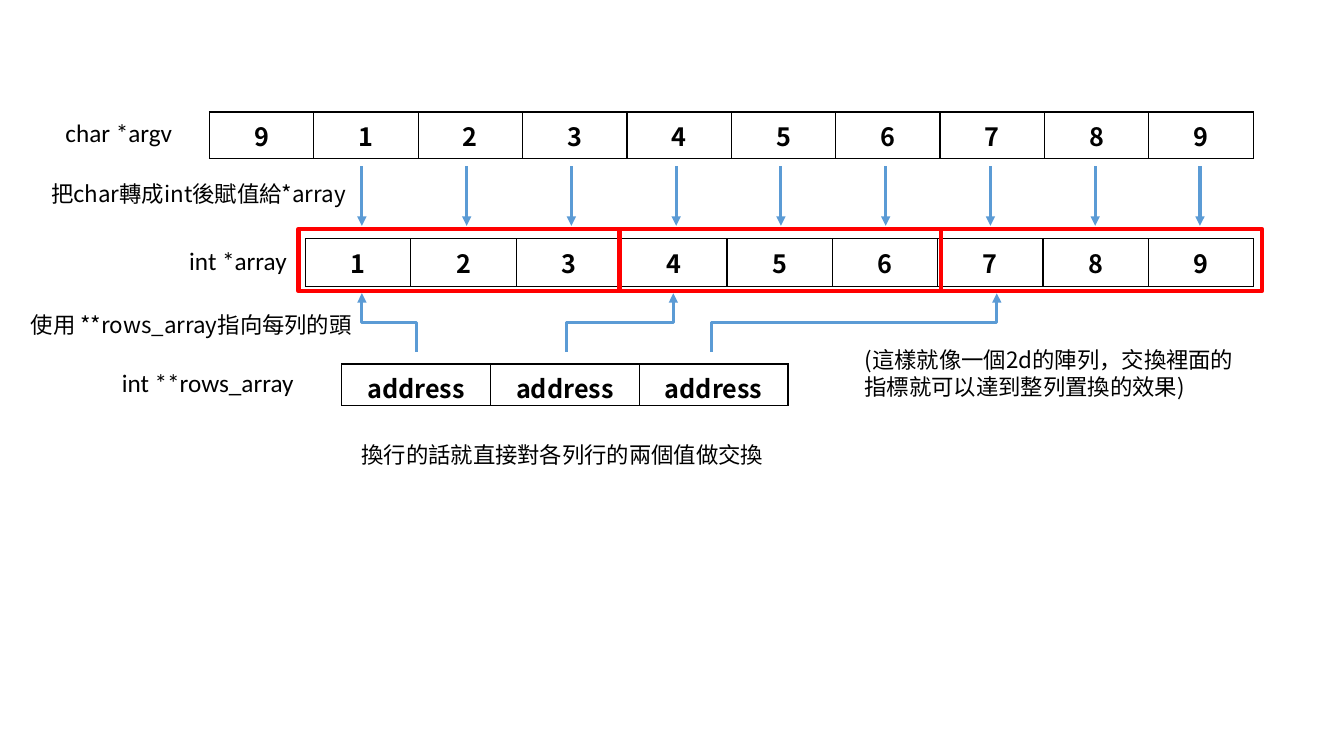
from dataclasses import dataclass
from typing import NamedTuple

from lxml.etree import SubElement
from pptx import Presentation
from pptx.dml.color import RGBColor
from pptx.enum.shapes import MSO_CONNECTOR, MSO_SHAPE
from pptx.enum.text import PP_ALIGN
from pptx.oxml import parse_xml
from pptx.oxml.ns import nsdecls, qn
from pptx.util import Cm, Pt


@dataclass(frozen=True)
class Theme:
    """Colours, fonts and sizes of the slide."""
    ink: str = "000000"
    arrow: str = "5B9BD5"
    frame: str = "FF0000"
    code_font: str = "Calibri"
    note_font: str = "Noto Sans CJK SC"
    code_size: int = 18
    note_size: int = 16
    border_width: float = 1
    arrow_width: float = 2.25
    frame_width: float = 3


class Box(NamedTuple):
    """A region in centimetres."""
    left: float
    top: float
    width: float
    height: float

    def lengths(self):
        """Return the four values as slide lengths."""
        return [Cm(value) for value in self]


THEME = Theme()


def format_runs(paragraph, font_name, size, bold=False):
    """Give every run its font, for Latin and East Asian text alike."""
    for run in paragraph.runs:
        run.font.name = font_name
        run.font.size = Pt(size)
        run.font.bold = bold
        run.font.color.rgb = RGBColor.from_string(THEME.ink)
        east_asian = SubElement(run.font._element, qn("a:ea"))
        east_asian.set("typeface", font_name)


def add_text(slide, box, text, font_name, size, wrap):
    """Add a text box with one paragraph."""
    text_frame = slide.shapes.add_textbox(*box.lengths()).text_frame
    text_frame.word_wrap = wrap
    text_frame.text = text
    format_runs(text_frame.paragraphs[0], font_name, size)


def add_code_label(slide, box, text):
    """Name an array beside its table."""
    add_text(slide, box, text, THEME.code_font, THEME.code_size, False)


def add_note(slide, box, text):
    """Explain a step."""
    add_text(slide, box, text, THEME.note_font, THEME.note_size, True)


def add_cell_borders(cell):
    """Outline all four sides of a cell."""
    properties = cell._tc.get_or_add_tcPr()
    for index, side in enumerate("LRTB"):
        properties.insert(index, parse_xml(
            f'<a:ln{side} {nsdecls("a")} w="{Pt(THEME.border_width)}">'
            f'<a:solidFill><a:srgbClr val="{THEME.ink}"/></a:solidFill>'
            f'</a:ln{side}>'))


def add_array(slide, box, values):
    """Draw an array as a one-row table of equal cells."""
    table = slide.shapes.add_table(1, len(values), *box.lengths()).table
    table.first_row = table.horz_banding = False
    for column, cell, value in zip(table.columns, table.rows[0].cells, values):
        column.width = Cm(box.width / len(values))
        cell.margin_top, cell.margin_bottom = Cm(0.13), 0
        cell.fill.background()
        add_cell_borders(cell)
        cell.text_frame.text = value
        paragraph = cell.text_frame.paragraphs[0]
        paragraph.alignment = PP_ALIGN.CENTER
        format_runs(paragraph, THEME.note_font, THEME.code_size, True)


def style_arrow(connector):
    """Colour a connector, drop its shadow and add an arrowhead."""
    connector.line.color.rgb = RGBColor.from_string(THEME.arrow)
    connector.line.width = Pt(THEME.arrow_width)
    SubElement(connector.line._get_or_add_ln(), qn("a:tailEnd")).set("type", "triangle")
    SubElement(connector._element.spPr, qn("a:effectLst"))


def add_copy_arrows(slide, box, count):
    """Draw evenly spaced arrows down from one array to the next."""
    for index in range(count):
        x = Cm(box.left + index * box.width / (count - 1))
        style_arrow(slide.shapes.add_connector(
            MSO_CONNECTOR.STRAIGHT, x, Cm(box.top), x, Cm(box.top + box.height)))


def add_pointer_arrows(slide, box, starts_and_ends):
    """Draw elbows from the bottom of the box to its top, at offsets from its left."""
    for start, end in starts_and_ends:
        across = abs(end - start)
        # An elbow leaves sideways, so it is turned a quarter to leave upwards.
        left = box.left + (start + end - box.height) / 2
        top = box.top + (box.height - across) / 2
        connector = slide.shapes.add_connector(
            MSO_CONNECTOR.ELBOW, Cm(left), Cm(top),
            Cm(left + box.height), Cm(top + across))
        transform = connector._element.spPr.find(qn("a:xfrm"))
        transform.set("rot", str(270 * 60000))
        if end < start:
            transform.set("flipV", "1")
        style_arrow(connector)


def add_row_frames(slide, box, count):
    """Frame the rows of the matrix side by side."""
    width = box.width / count
    for index in range(count):
        frame_box = Box(box.left + index * width, box.top, width, box.height)
        frame = slide.shapes.add_shape(MSO_SHAPE.RECTANGLE, *frame_box.lengths())
        frame.shadow.inherit = False
        frame.fill.background()
        frame.line.color.rgb = RGBColor.from_string(THEME.frame)
        frame.line.width = Pt(THEME.frame_width)


def build_slide(slide):
    """Place the three arrays, their arrows and the notes."""
    digits = list("123456789")
    add_array(slide, Box(5.28, 2.82, 26.31, 1.17), ["9"] + digits)
    add_array(slide, Box(7.7, 6.02, 23.9, 1.19), digits)
    add_array(slide, Box(8.61, 9.17, 11.25, 1.04), ["address"] * 3)

    add_code_label(slide, Box(1.4, 2.82, 3.3, 1.02), "char *argv")
    add_code_label(slide, Box(4.52, 6.05, 3, 1.02), "int *array")
    add_code_label(slide, Box(2.82, 9.14, 4.9, 1.02), "int **rows_array")

    add_copy_arrows(slide, Box(9.12, 4.19, 21.12, 1.5), len(digits))
    add_pointer_arrows(slide, Box(9.12, 7.39, 16, 1.47),
                       [(1.37, 0), (5.15, 7.85), (8.81, 16)])

    add_note(slide, Box(1.04, 4.42, 7.95, 0.94), "把char轉成int後賦值給*array")
    add_note(slide, Box(0.53, 7.72, 8.59, 0.94), "使用 **rows_array指向每列的頭")
    add_note(slide, Box(21.54, 8.61, 10.06, 1.63),
             "(這樣就像一個2d的陣列，交換裡面的指標就可以達到整列置換的效果)")
    add_note(slide, Box(8.86, 11, 10.74, 0.94), "換行的話就直接對各列行的兩個值做交換")
    add_row_frames(slide, Box(7.52, 5.77, 24.28, 1.57), 3)


presentation = Presentation()
presentation.slide_width = Cm(33.87)
presentation.slide_height = Cm(19.05)
build_slide(presentation.slides.add_slide(presentation.slide_layouts[6]))
presentation.save("out.pptx")
